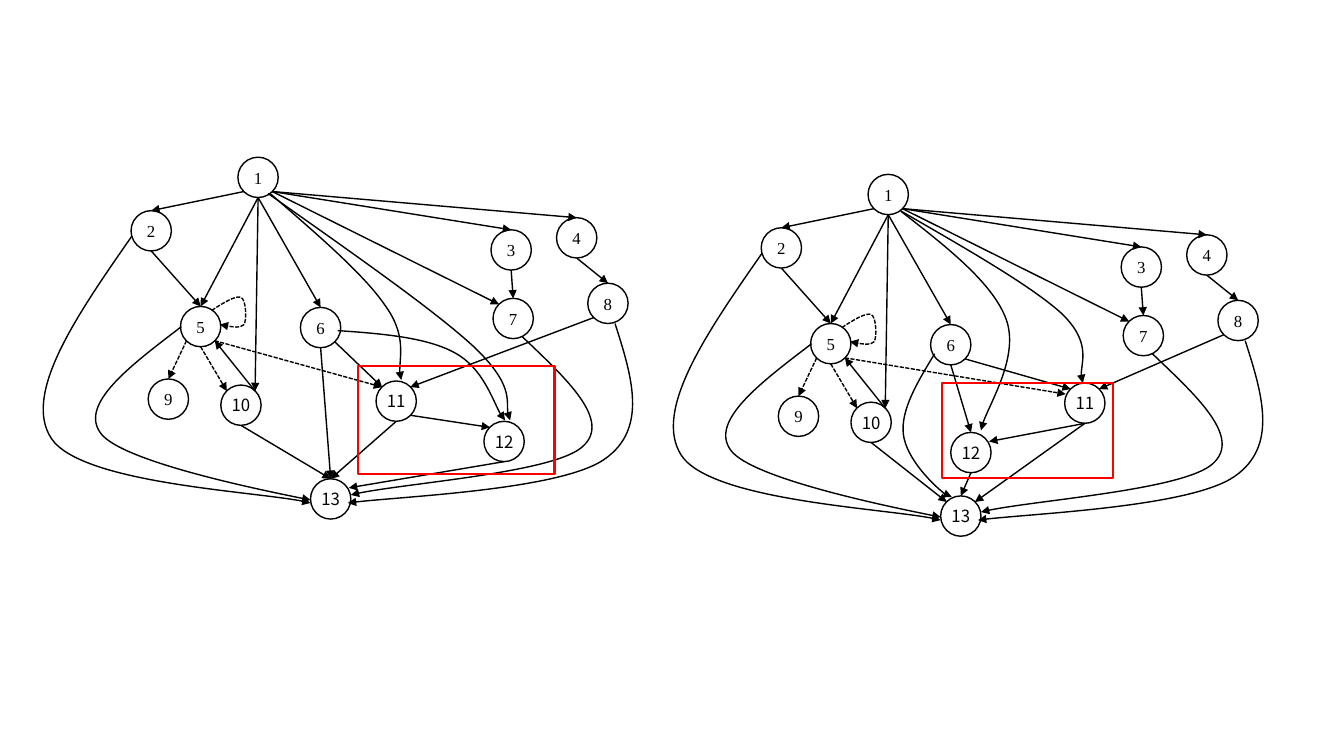
from lxml import etree
from pptx import Presentation
from pptx.dml.color import RGBColor
from pptx.enum.dml import MSO_LINE
from pptx.enum.shapes import MSO_CONNECTOR, MSO_SHAPE
from pptx.enum.text import MSO_ANCHOR, PP_ALIGN
from pptx.oxml.ns import qn
from pptx.util import Pt

PX = 9144  # EMU per px, 100 px to the inch
STRAIGHT, OVAL, RECTANGLE = MSO_CONNECTOR.STRAIGHT, MSO_SHAPE.OVAL, MSO_SHAPE.RECTANGLE
DASH, MIDDLE, CENTER = MSO_LINE.SQUARE_DOT, MSO_ANCHOR.MIDDLE, PP_ALIGN.CENTER
COLORS = {"ink": "000000", "frame": "FF0000"}
RADIUS = 20

# Attachment points of a node, as offsets from its centre
SITES = {"N": (0, -20), "NE": (14, -14), "ENE": (18, -11), "SE": (14, 14),
         "S": (0, 20), "SW": (-14, 14), "NW": (-14, -14), "WNW": (-19, -9)}

# Node centres, edges and curves that both graphs share
NODES = {"1": (256, 176), "2": (150, 229), "3": (507, 248), "4": (572, 236),
         "5": (199, 324), "6": (318, 325), "7": (509, 316), "8": (603, 301),
         "9": (167, 396), "10": (239, 402), "13": (328, 495)}
EDGES = ["1 SW 2 N", "1 SE 3 N", "1 SE 4 N", "1 S 5 N", "1 S 6 N", "3 S 7 N",
         "4 S 8 N", "1 SE 7 NW", "2 S 5 N", "10 NE 5 SE", "6 SE 11 NW",
         "8 SW 11 NE", "1 S 10 NE"]
DASHED_EDGES = ["5 SW 9 N", "5 S 10 NW"]
# Each curve: start, then control, control, end for every segment
CURVES = [
    [(131, 234), (76, 313), (22, 391), (51, 435), (81, 480), (268, 488), (308, 499)],
    [(180, 324), (129, 363), (78, 401), (100, 430), (121, 458), (273, 489), (308, 496)],
    [(518, 334), (562, 376), (607, 417), (578, 443), (550, 469), (391, 480), (348, 491)],
    [(610, 321), (627, 374), (643, 426), (599, 456), (555, 486), (387, 493), (345, 499)],
]
SELF_LOOP = [(210, 308), (222, 300), (234, 293), (239, 295), (244, 297), (245, 317),
             (242, 322), (238, 326), (221, 323), (218, 322)]

# What differs: nodes 11 and 12, their edges and the red frame
GRAPHS = [
    {"origin": (0, 0),
     "nodes": {"11": (393, 398), "12": (500, 438)},
     "edges": ["11 SE 12 NW", "10 S 13 N", "11 S 13 N", "6 S 13 N", "12 S 13 ENE"],
     "dashed": ["5 SE 11 NW"],
     "curves": [
         [(335, 328), (380, 331), (424, 335), (451, 350), (479, 365), (495, 414), (501, 417)],
         [(266, 192), (348, 250), (430, 307), (470, 344), (510, 382), (500, 409), (506, 417)],
         [(268, 192), (314, 232), (361, 272), (382, 303), (404, 333), (393, 367), (398, 377)]],
     "frame": (355, 363, 195, 107)},
    {"origin": (625, 17),
     "nodes": {"11": (451, 383), "12": (338, 432)},
     "edges": ["11 S 12 ENE", "10 S 13 NW", "11 S 13 NE", "6 S 12 N", "12 S 13 N"],
     "dashed": ["5 SE 11 WNW"],
     "curves": [
         [(268, 192), (332, 229), (397, 266), (428, 294), (458, 323), (443, 354), (449, 363)],
         [(302, 334), (285, 362), (268, 390), (271, 414), (274, 438), (316, 481), (319, 476)],
         [(269, 193), (314, 228), (360, 264), (373, 300), (386, 336), (349, 396), (348, 410)]],
     "frame": (309, 363, 170, 94)},
]


def write_text(shape, text, font, size=12, color="ink"):
    frame = shape.text_frame
    frame.margin_left = frame.margin_right = frame.margin_top = frame.margin_bottom = 0
    frame.word_wrap = False
    frame.vertical_anchor = MIDDLE
    para = frame.paragraphs[0]
    para.alignment = CENTER
    span = para.add_run()
    span.text = text
    span.font.name = font
    span.font.size = Pt(size)
    span.font.color.rgb = RGBColor.from_string(COLORS[color])


def style_line(shape, color="ink", width=1, dashed=False, arrow=False):
    shape.line.color.rgb = RGBColor.from_string(COLORS[color])
    shape.line.width = Pt(width)
    if dashed:
        shape.line.dash_style = DASH
    properties = shape.element.spPr
    if arrow:
        etree.SubElement(properties.find(qn("a:ln")), qn("a:tailEnd"), type="triangle")
    etree.SubElement(properties, qn("a:effectLst"))


deck = Presentation()
deck.slide_width, deck.slide_height = 1333 * PX, 750 * PX
page = deck.slides.add_slide(deck.slide_layouts[6])

for graph in GRAPHS:
    origin_x, origin_y = graph["origin"]
    centers = {name: (x + origin_x, y + origin_y)
               for name, (x, y) in (NODES | graph["nodes"]).items()}

    # Numbered nodes
    for name, (x, y) in centers.items():
        node = page.shapes.add_shape(OVAL, (x - RADIUS) * PX, (y - RADIUS) * PX,
                                     2 * RADIUS * PX, 2 * RADIUS * PX)
        node.name = f"Node {name}"
        node.fill.background()
        style_line(node)
        write_text(node, name, "Times New Roman" if len(name) == 1 else "Noto Sans CJK SC")

    # Straight edges
    dashed_edges = DASHED_EDGES + graph["dashed"]
    for edge in EDGES + graph["edges"] + dashed_edges:
        source, source_site, target, target_site = edge.split()
        ends = [(center + offset) * PX
                for name, site in ((source, source_site), (target, target_site))
                for center, offset in zip(centers[name], SITES[site])]
        connector = page.shapes.add_connector(STRAIGHT, *ends)
        style_line(connector, dashed=edge in dashed_edges, arrow=True)

    # Curved edges: a freeform through the knots, whose segments become Béziers
    for curve in CURVES + [SELF_LOOP] + graph["curves"]:
        points = [(x + origin_x, y + origin_y) for x, y in curve]
        knots = points[::3]
        builder = page.shapes.build_freeform(*knots[0], scale=PX)
        builder.add_line_segments(knots[1:], close=False)
        arc = builder.convert_to_shape()
        left, top = min(x for x, y in knots), min(y for x, y in knots)
        for index, segment in enumerate(list(arc.element.iter(qn("a:lnTo")))):
            segment.tag = qn("a:cubicBezTo")
            for place, (x, y) in enumerate(points[3 * index + 1:3 * index + 3]):
                control = etree.Element(qn("a:pt"), x=str(x - left), y=str(y - top))
                segment.insert(place, control)
        arc.fill.background()
        style_line(arc, dashed=curve is SELF_LOOP, arrow=True)

    # Red frame around nodes 11 and 12
    x, y, width, height = graph["frame"]
    frame_box = page.shapes.add_shape(RECTANGLE, (x + origin_x) * PX, (y + origin_y) * PX,
                                      width * PX, height * PX)
    frame_box.fill.background()
    style_line(frame_box, color="frame", width=1.5)

deck.save("out.pptx")
